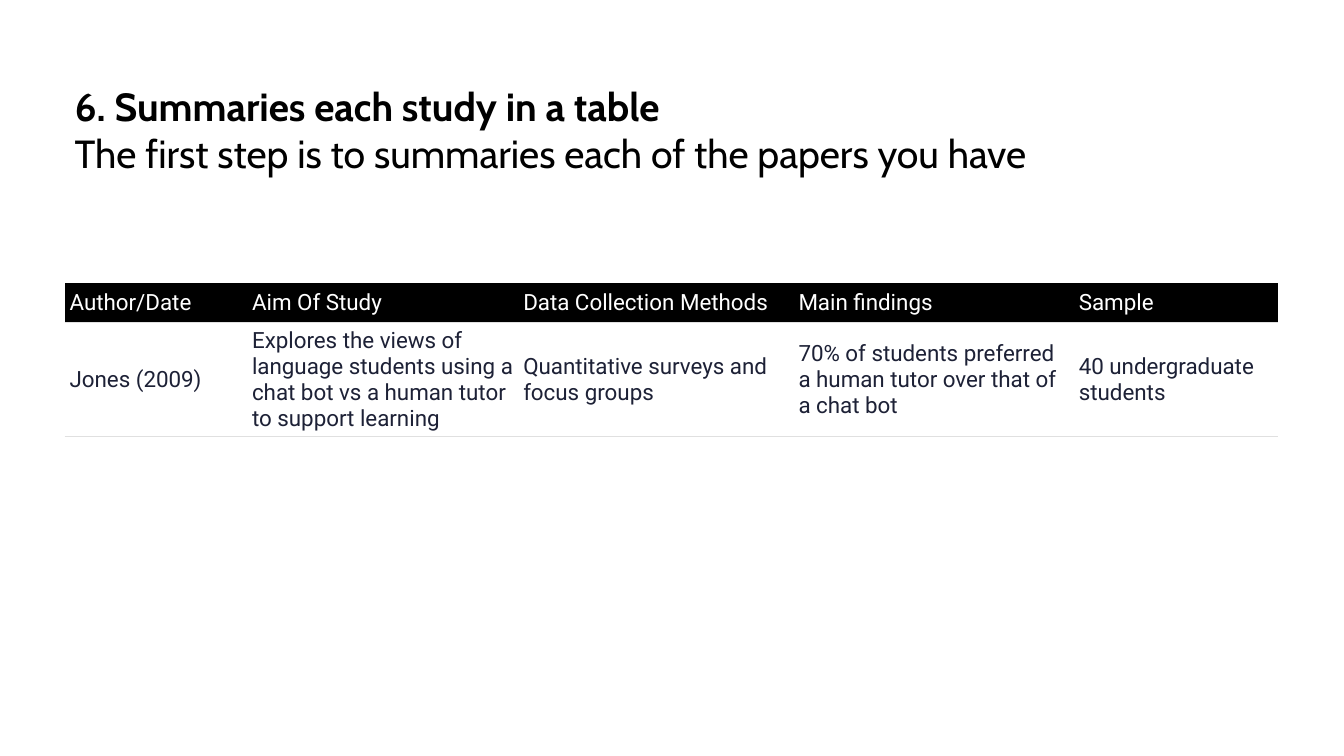
from lxml import etree
from pptx import Presentation
from pptx.dml.color import RGBColor
from pptx.enum.text import MSO_ANCHOR, MSO_AUTO_SIZE, PP_ALIGN
from pptx.oxml.ns import qn
from pptx.util import Inches, Pt

TOP, MIDDLE = MSO_ANCHOR.TOP, MSO_ANCHOR.MIDDLE
LEFT = PP_ALIGN.LEFT
NO_FIT = MSO_AUTO_SIZE.NONE

# Page grid, in inches
WIDTH, HEIGHT = 13.33, 7.5
MARGIN = 0.64
SPAN = WIDTH - 2 * MARGIN
COLS = [1.81, 2.69, 2.73, 2.78, 2.03]
ROWS = [0.39, 1.13]
PAD = Inches(0.05)

BLACK, WHITE, INK, RULE = "000000", "FFFFFF", "1D2136", "E0E0E0"

TITLE = [
    ("6. Summaries each study in a table", True),
    ("The first step is to summaries each of the papers you have", False),
]
STUDIES = [
    ["Author/Date", "Aim Of Study", "Data Collection Methods",
     "Main findings", "Sample"],
    ["Jones (2009)",
     "Explores the views of language students using a chat bot vs a human "
     "tutor to support learning",
     "Quantitative surveys and focus groups",
     "70% of students preferred a human tutor over that of a chat bot",
     "40 undergraduate students"],
]


def paint(target, color):
    """Give a fill or a font its solid colour."""
    if hasattr(target, "solid"):
        target.solid()
        target = target.fore_color
    else:
        target = target.color
    target.rgb = RGBColor.from_string(color)


def style(para, face, size, color, bold=False):
    font = para.font
    font.name, font.size, font.bold = face, Pt(size), bold
    paint(font, color)
    para.alignment = LEFT


def add_title(slide):
    box = slide.shapes.title
    box.left, box.top = Inches(MARGIN), Inches(0.77)
    box.width, box.height = Inches(SPAN), Inches(1.51)
    paint(box.fill, WHITE)
    frame = box.text_frame
    frame.auto_size, frame.word_wrap = NO_FIT, True
    frame.vertical_anchor = TOP
    frame.text = "\n".join(text for text, _ in TITLE)
    for para, (_, bold) in zip(frame.paragraphs, TITLE):
        style(para, "Cabin", 28, BLACK, bold)


def add_rules(cell, sides):
    """Draw thin lines on the named sides; the rest stay bare."""
    props = cell._tc.get_or_add_tcPr()
    for spot, side in enumerate("LRTB"):
        line = etree.Element(qn(f"a:ln{side}"), w=str(Pt(0.75)))
        if side in sides:
            fill = etree.SubElement(line, qn("a:solidFill"))
            etree.SubElement(fill, qn("a:srgbClr"), val=RULE)
        else:
            etree.SubElement(line, qn("a:noFill"))
        props.insert(spot, line)


def fill_cell(cell, text, head):
    cell.text = text
    cell.vertical_anchor = MIDDLE
    cell.margin_left = cell.margin_right = PAD
    cell.margin_top = cell.margin_bottom = PAD
    paint(cell.fill, BLACK if head else WHITE)
    style(cell.text_frame.paragraphs[0], "Roboto", 16, WHITE if head else INK)
    add_rules(cell, "B" if head else "TB")


def add_studies(slide):
    table = slide.shapes.add_table(
        len(ROWS), len(COLS), Inches(MARGIN), Inches(2.81),
        Inches(SPAN), Inches(sum(ROWS))).table
    table.horz_banding = False
    for col, width in zip(table.columns, COLS):
        col.width = Inches(width)
    for row, height, texts in zip(table.rows, ROWS, STUDIES):
        row.height = Inches(height)
        for cell, text in zip(row.cells, texts):
            fill_cell(cell, text, texts is STUDIES[0])


def main():
    deck = Presentation()
    deck.slide_width, deck.slide_height = Inches(WIDTH), Inches(HEIGHT)
    slide = deck.slides.add_slide(deck.slide_layouts[5])
    paint(slide.background.fill, WHITE)
    add_title(slide)
    add_studies(slide)
    deck.save("out.pptx")


if __name__ == "__main__":
    main()
